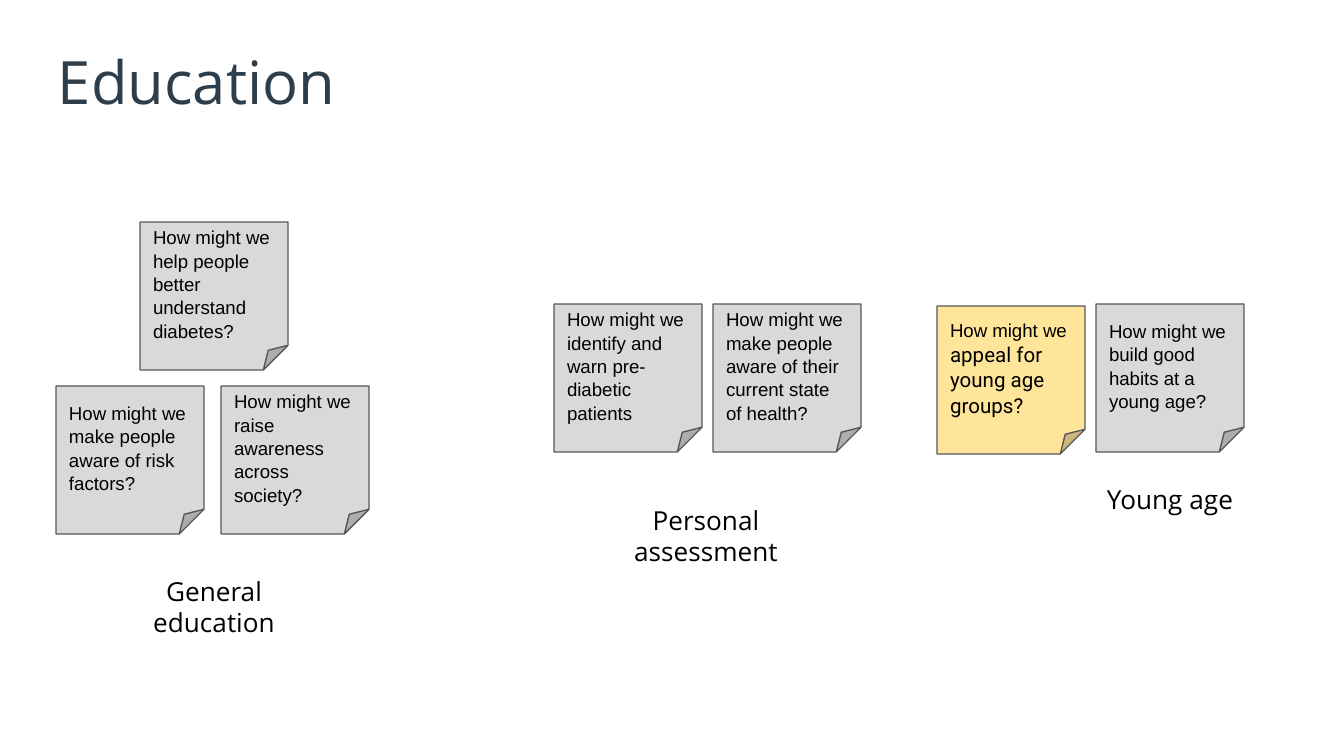
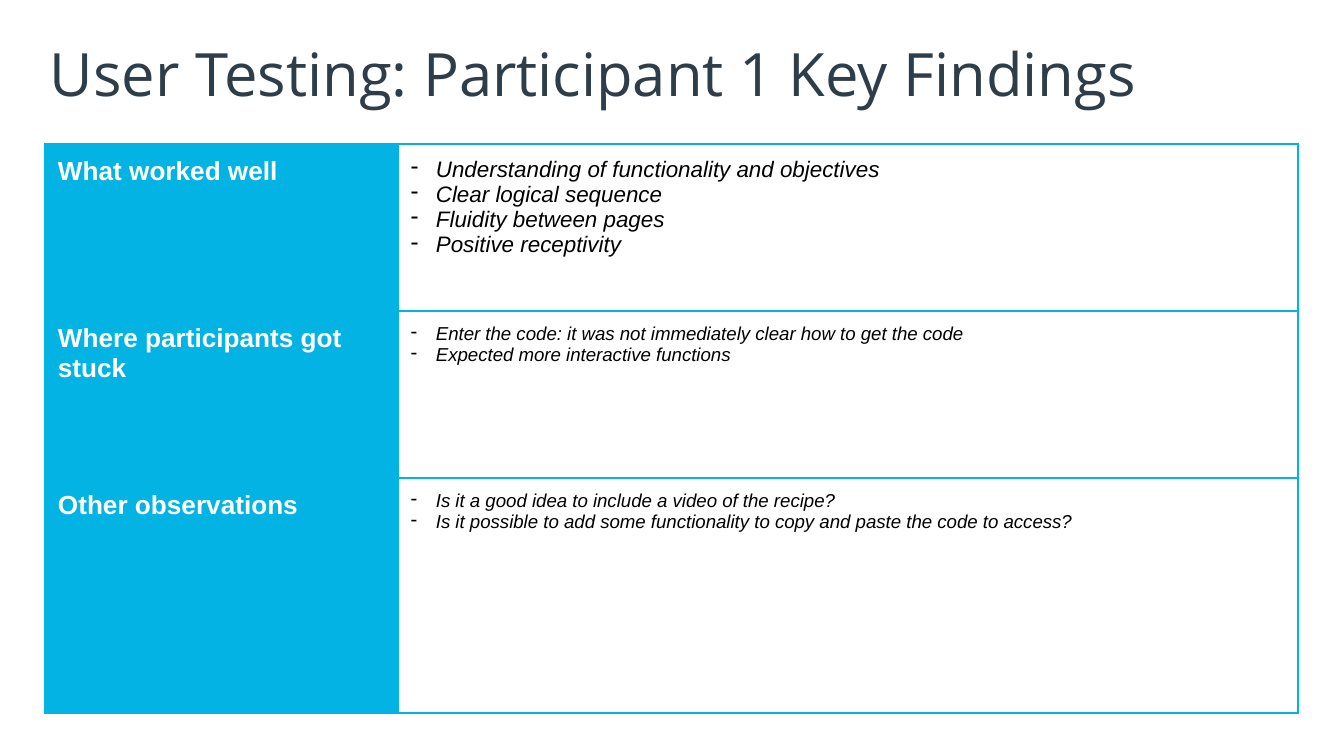
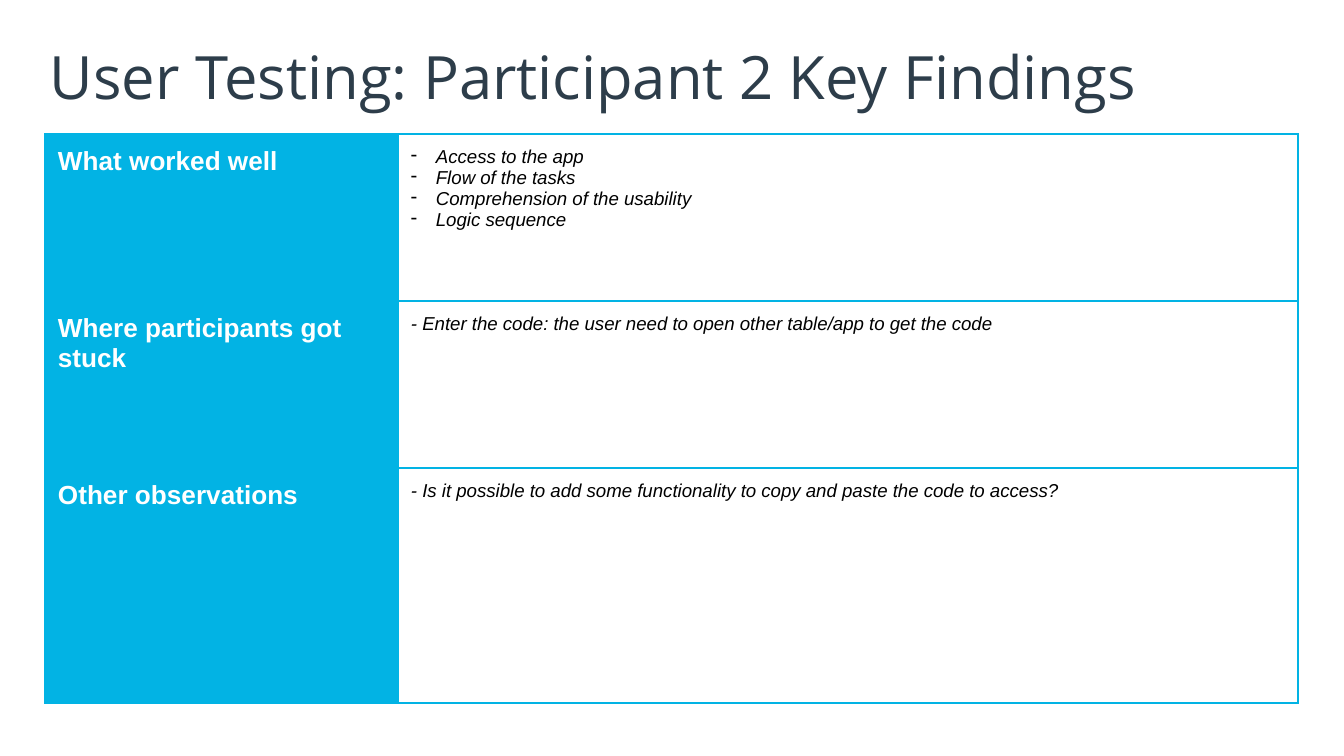
from dataclasses import dataclass

from lxml.etree import SubElement
from pptx import Presentation
from pptx.dml.color import RGBColor
from pptx.enum.shapes import MSO_SHAPE
from pptx.enum.text import MSO_ANCHOR, MSO_AUTO_SIZE, PP_ALIGN
from pptx.oxml.ns import qn
from pptx.util import Emu, Pt

SCALE = 914400 / 134.4


@dataclass(frozen=True)
class Theme:
    """Colours, fonts and sizes that the slides share."""
    ink: str = "000000"
    slate: str = "2D3D4A"
    edge: str = "53585F"
    grey: str = "D9D9D9"
    yellow: str = "FFE599"
    blue: str = "02B3E4"
    white: str = "FFFFFF"
    head: str = "Open Sans"
    body: str = "Arial"
    accent: str = "Roboto"
    title: int = 32
    label: int = 14
    large: int = 12
    medium: int = 11
    small: int = 10
    line: float = 0.75


THEME = Theme()
PAD = 13
NOTE = 148

NOTES = [
    (56, 386, "How might we make people aware of risk factors?"),
    (221, 386, "How might we raise awareness across society?"),
    (140, 222, "How might we help people better understand diabetes?"),
    (713, 304, "How might we make people aware of their current state of health?"),
    (554, 304, "How might we identify and warn pre-diabetic patients"),
    (1096, 304, "How might we build good habits at a young age?"),
]
LABELS = [
    (91, 562, "General education"),
    (583, 491, "Personal assessment"),
    (1047, 470, "Young age"),
]
TOPICS = ["What worked well", "Where participants got stuck", "Other observations"]
FIRST = [
    (THEME.large, ["Understanding of functionality and objectives",
                   "Clear logical sequence",
                   "Fluidity between pages",
                   "Positive receptivity"]),
    (THEME.small, ["Enter the code: it was not immediately clear how to get the code",
                   "Expected more interactive functions"]),
    (THEME.small, ["Is it a good idea to include a video of the recipe?",
                   "Is it possible to add some functionality to copy and paste "
                   "the code to access?"]),
]
SECOND = [
    (THEME.small, ["Access to the app",
                   "Flow of the tasks",
                   "Comprehension of the usability",
                   "Logic sequence"]),
    (THEME.small, ["- Enter the code: the user need to open other table/app "
                   "to get the code"]),
    (THEME.small, ["- Is it possible to add some functionality to copy and paste "
                   "the code to access?"]),
]


def px(count):
    """Turn pixels into EMU."""
    return Emu(round(count * SCALE))


def color(code):
    """Return the colour for a hex code."""
    return RGBColor.from_string(code)


def style(run, font, size, tint, bold=False, italic=False):
    """Format one run."""
    run.font.name = font
    run.font.size = Pt(size)
    run.font.color.rgb = color(tint)
    run.font.bold = bold
    run.font.italic = italic


def inset(box, pad):
    """Give a text frame or a cell equal margins."""
    box.margin_left = box.margin_right = px(pad)
    box.margin_top = box.margin_bottom = px(pad)


def start(deck, text, top, pad):
    """Add a slide and set its title."""
    slide = deck.slides.add_slide(deck.slide_layouts[5])
    title = slide.shapes.title
    title.left, title.top, title.width, title.height = map(px, (45, top, 1253, 85))
    frame = title.text_frame
    frame.text = text
    frame.word_wrap = True
    frame.auto_size = MSO_AUTO_SIZE.NONE
    frame.vertical_anchor = MSO_ANCHOR.TOP
    inset(frame, pad)
    para = frame.paragraphs[0]
    para.alignment = PP_ALIGN.LEFT
    style(para.runs[0], THEME.head, THEME.title, THEME.slate)
    return slide


def add_note(slide, left, top, text, fill=THEME.grey):
    """Add a sticky note and return its paragraph."""
    note = slide.shapes.add_shape(
        MSO_SHAPE.FOLDED_CORNER, *map(px, (left, top, NOTE, NOTE)))
    note.shadow.inherit = False
    note.fill.solid()
    note.fill.fore_color.rgb = color(fill)
    note.line.color.rgb = color(THEME.edge)
    note.line.width = Pt(THEME.line)
    frame = note.text_frame
    frame.text = text
    frame.word_wrap = True
    frame.vertical_anchor = MSO_ANCHOR.MIDDLE
    inset(frame, PAD)
    para = frame.paragraphs[0]
    para.alignment = PP_ALIGN.LEFT
    para.line_spacing = 1.04
    style(para.runs[0], THEME.body, THEME.small, THEME.ink)
    return para


def add_label(slide, left, top, text):
    """Add the centred name of a group of notes."""
    frame = slide.shapes.add_textbox(*map(px, (left, top, 246, 71))).text_frame
    frame.text = text
    frame.word_wrap = True
    inset(frame, PAD)
    para = frame.paragraphs[0]
    para.alignment = PP_ALIGN.CENTER
    style(para.runs[0], THEME.head, THEME.label, THEME.ink)


def add_dash(para):
    """Give a paragraph a hanging dash."""
    props = para._p.get_or_add_pPr()
    props.set("marL", str(px(25)))
    props.set("indent", str(-px(25)))
    tint = SubElement(props, qn("a:buClr"))
    SubElement(tint, qn("a:srgbClr"), val=THEME.ink)
    SubElement(props, qn("a:buChar"), char="-")


def frame_cell(cell, fill):
    """Set the borders, fill and margins of a cell."""
    props = cell._tc.get_or_add_tcPr()
    for side in ("lnL", "lnR", "lnT", "lnB"):
        line = SubElement(props, qn(f"a:{side}"), w=str(Pt(THEME.line)))
        solid = SubElement(line, qn("a:solidFill"))
        SubElement(solid, qn("a:srgbClr"), val=THEME.blue)
    cell.fill.solid()
    cell.fill.fore_color.rgb = color(fill)
    inset(cell, PAD)


def add_table(slide, top, rows):
    """Add the table of topics and findings."""
    widths, heights = (353, 900), (167, 167, 235)
    table = slide.shapes.add_table(
        len(heights), len(widths),
        *map(px, (45, top, sum(widths), sum(heights)))).table
    table.first_row = table.horz_banding = False
    for col, width in zip(table.columns, widths):
        col.width = px(width)
    for row, height, topic, (size, items) in zip(table.rows, heights, TOPICS, rows):
        row.height = px(height)
        left, right = row.cells
        frame_cell(left, THEME.blue)
        frame_cell(right, THEME.white)
        left.text_frame.text = topic
        style(left.text_frame.paragraphs[0].runs[0],
              THEME.body, THEME.label, THEME.white, bold=True)
        right.text_frame.text = "\n".join(items)
        for para in right.text_frame.paragraphs:
            style(para.runs[0], THEME.body, size, THEME.ink, italic=True)
            if not para.text.startswith("-"):
                add_dash(para)


def add_themes(deck):
    """Build the slide of grouped questions."""
    slide = start(deck, "Education", 32, PAD)
    for note in NOTES:
        add_note(slide, *note)
    for label in LABELS:
        add_label(slide, *label)
    para = add_note(slide, 937, 306, "How might we ", THEME.yellow)
    run = para.add_run()
    run.text = "appeal for young age groups?"
    style(run, THEME.accent, THEME.medium, THEME.ink)


def main():
    """Build and save the deck."""
    deck = Presentation()
    deck.slide_width, deck.slide_height = px(1344), px(756)
    add_themes(deck)
    tests = [(1, 32, 144, FIRST), (2, 35, 134, SECOND)]
    for number, top, base, rows in tests:
        slide = start(deck, f"User Testing: Participant {number} Key Findings", top, 5)
        add_table(slide, base, rows)
    deck.save("out.pptx")


if __name__ == "__main__":
    main()
